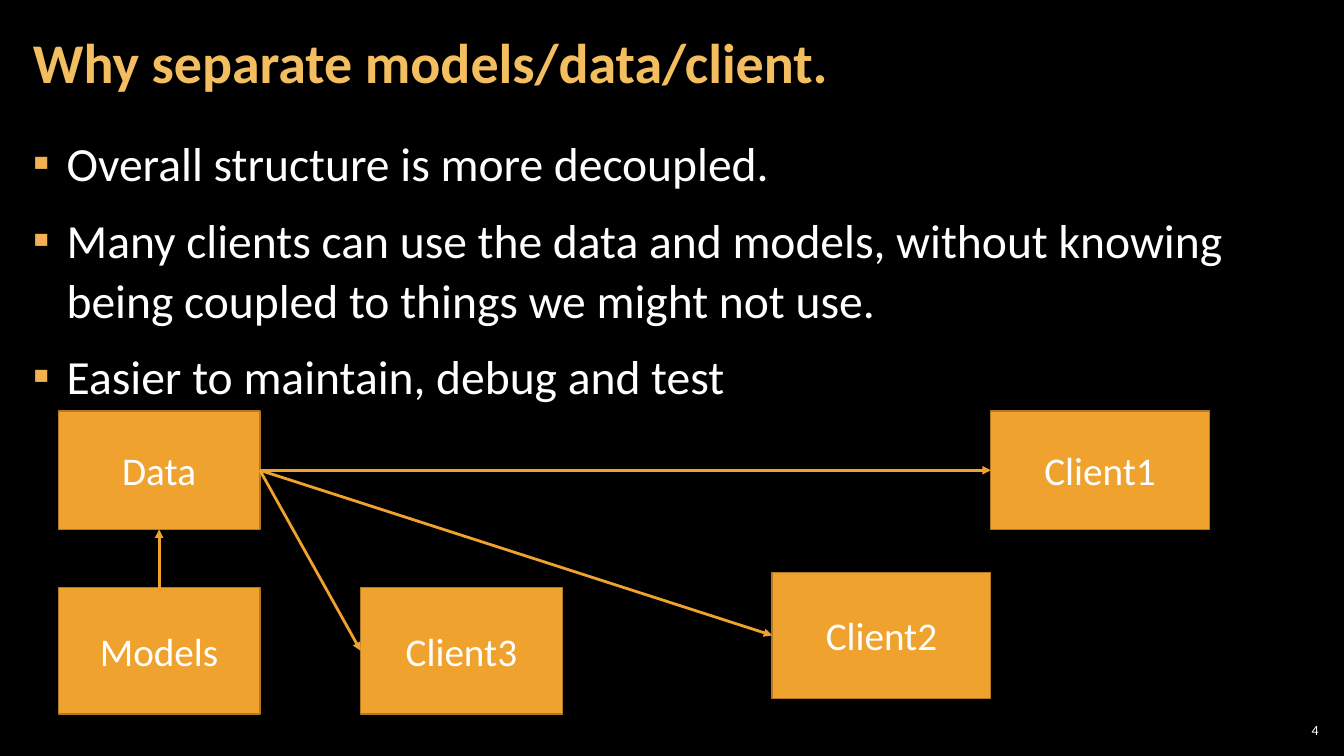
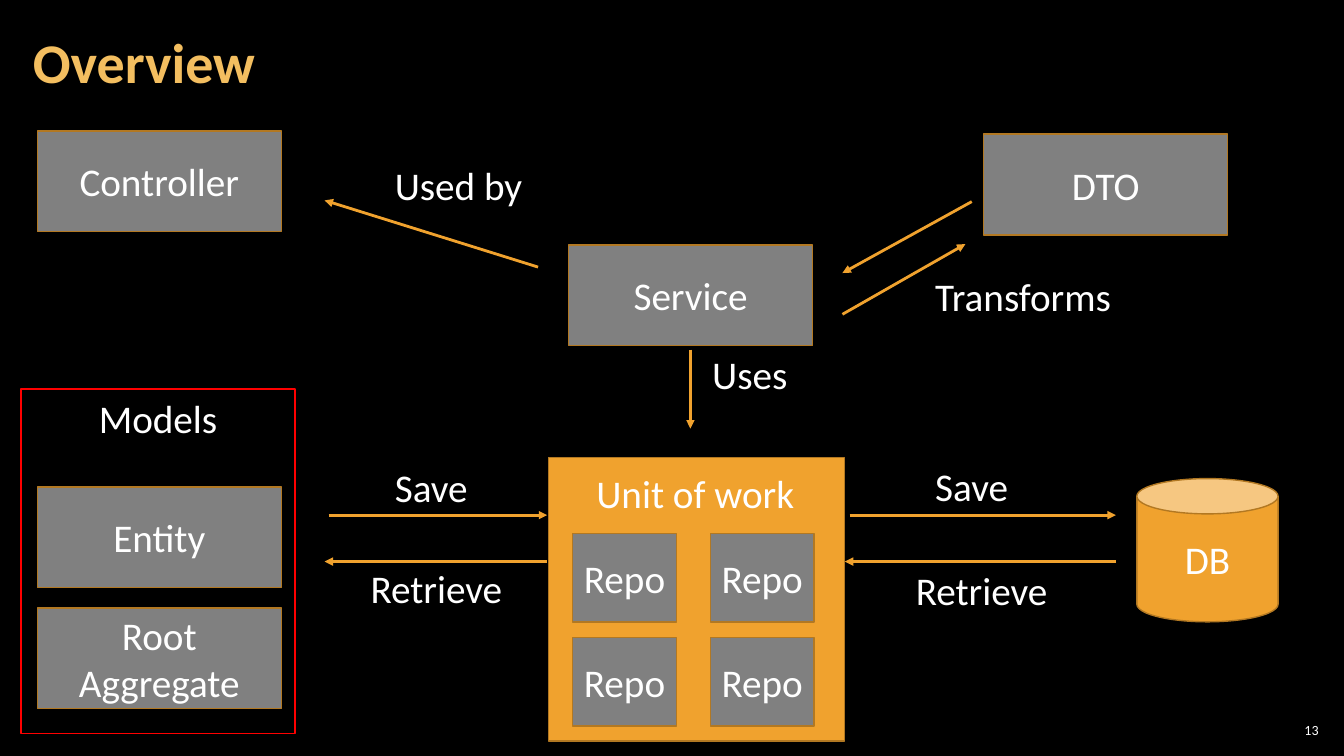
from dataclasses import dataclass

from lxml import etree
from pptx import Presentation
from pptx.dml.color import RGBColor
from pptx.enum import shapes, text
from pptx.oxml import ns
from pptx.util import Cm, Pt


@dataclass(frozen=True)
class Theme:
    font: str = "Calibri"
    background: str = "000000"
    ink: str = "FFFFFF"
    heading: str = "F3BE60"
    bullet: str = "F2B254"
    accent: str = "F0A22E"
    edge: str = "B27822"
    grey: str = "808080"
    frame: str = "FF0000"
    heading_size: int = 40
    list_size: int = 34
    label_size: int = 28
    number_size: int = 10
    edge_width: int = 1
    arrow_width: int = 2


THEME = Theme()
RECT = shapes.MSO_SHAPE.RECTANGLE
CAN = shapes.MSO_SHAPE.CAN
TOP, LEFT, BOTTOM, RIGHT = range(4)
MIDDLE = text.MSO_ANCHOR.MIDDLE

SLIDE_SIZE = (33.87, 19.05)
TITLE_AREA = (0.53, 0.1, 26.6, 3.07)
LIST_AREA = (0.53, 3.2, 32.8, 15.47)
NUMBER_AREA = (32.13, 18.14, 1.2, 0.53)

REASONS = {
    "title": "Why separate models/data/client.",
    "number": "4",
    "points": [
        "Overall structure is more decoupled.",
        "Many clients can use the data and models, without knowing being "
        "coupled to things we might not use.",
        "Easier to maintain, debug and test",
    ],
    "parts": {
        "Data": (1.47, 10.36, 5.08, 2.98),
        "Models": (1.47, 14.81, 5.08, 3.18),
        "Client1": (24.97, 10.36, 5.51, 2.98),
        "Client2": (19.46, 14.42, 5.51, 3.18),
        "Client3": (9.09, 14.81, 5.08, 3.18),
    },
    "links": [
        ("Models", TOP, "Data", BOTTOM),
        ("Data", RIGHT, "Client1", LEFT),
        ("Data", RIGHT, "Client2", LEFT),
        ("Data", RIGHT, "Client3", LEFT),
    ],
}

PART_SIZE = (6.15, 2.54)
REPO_SIZE = (2.62, 2.24)
REPO_START = (14.43, 13.44)
REPO_STEP = (3.47, 2.62)
LABEL_HEIGHT = 1.45
SAVE_Y, RETRIEVE_Y = 12.98, 14.15

OVERVIEW = {
    "title": "Overview",
    "number": "13",
    "unit": (13.82, 11.53, 7.47, 7.14),
    "models": ("Models", (0.53, 9.8, 6.91, 8.69)),
    "database": ("DB", (28.65, 12.06, 3.56, 3.61)),
    "parts": [
        ("Controller", 0.94, 3.3),
        ("Service", 14.33, 6.17),
        ("DTO", 24.79, 3.38),
        ("Entity", 0.94, 12.27),
        ("Root Aggregate", 0.94, 15.32),
    ],
    "repos": ("Repo", 2, 2),
    "arrows": [
        (21.41, SAVE_Y, 28.12, SAVE_Y),
        (8.28, SAVE_Y, 13.79, SAVE_Y),
        (28.12, RETRIEVE_Y, 21.29, RETRIEVE_Y),
        (13.79, RETRIEVE_Y, 8.18, RETRIEVE_Y),
        (21.23, 7.92, 24.33, 6.15),
        (24.49, 5.08, 21.23, 6.88),
        (13.56, 6.73, 8.18, 5.05),
        (17.4, 8.81, 17.4, 10.8),
    ],
    "labels": [
        ("Unit of work", 14.78, 11.71, 5.56),
        ("Save", 9.7, 11.56, 2.36),
        ("Save", 23.32, 11.53, 2.36),
        ("Retrieve", 22.83, 14.15, 3.86),
        ("Retrieve", 9.09, 14.1, 3.86),
        ("Uses", 17.7, 8.71, 2.44),
        ("Transforms", 23.32, 6.73, 5.0),
        ("Used by", 9.7, 3.94, 3.76),
    ],
}


def rgb(value):
    return RGBColor.from_string(value)


def cm(lengths):
    return [Cm(length) for length in lengths]


def move(placeholder, area):
    placeholder.left, placeholder.top, placeholder.width, placeholder.height = cm(area)


def set_insets(frame, side, end):
    frame.margin_left = frame.margin_right = Cm(side)
    frame.margin_top = frame.margin_bottom = Cm(end)


def write(paragraph, words, size, color=THEME.ink, align=text.PP_ALIGN.LEFT, bold=False):
    paragraph.alignment = align
    run = paragraph.add_run()
    run.text = words
    run.font.name = THEME.font
    run.font.size = Pt(size)
    run.font.bold = bold
    run.font.color.rgb = rgb(color)


def start_slide(deck, layout, content):
    slide = deck.slides.add_slide(deck.slide_layouts[layout])
    title = slide.shapes.title
    move(title, TITLE_AREA)
    frame = title.text_frame
    frame.word_wrap = True
    frame.auto_size = text.MSO_AUTO_SIZE.NONE
    frame.vertical_anchor = MIDDLE
    set_insets(frame, 0.3, 0.1)
    frame.paragraphs[0].line_spacing = 0.9
    write(frame.paragraphs[0], content["title"], THEME.heading_size, THEME.heading, bold=True)

    number = slide.shapes.add_textbox(*cm(NUMBER_AREA)).text_frame
    number.word_wrap = True
    number.vertical_anchor = MIDDLE
    set_insets(number, 0.1, 0.1)
    write(number.paragraphs[0], content["number"], THEME.number_size, align=text.PP_ALIGN.RIGHT)
    return slide


def add_bullet(paragraph):
    props = paragraph._p.get_or_add_pPr()
    props.set("marL", str(Cm(0.85)))
    props.set("indent", str(-Cm(0.85)))
    color = etree.SubElement(props, ns.qn("a:buClr"))
    etree.SubElement(color, ns.qn("a:srgbClr"), val=THEME.bullet)
    etree.SubElement(props, ns.qn("a:buFont"), typeface=THEME.font)
    etree.SubElement(props, ns.qn("a:buChar"), char="▪")


def fill_list(body, points):
    move(body, LIST_AREA)
    frame = body.text_frame
    frame.word_wrap = True
    frame.auto_size = text.MSO_AUTO_SIZE.NONE
    set_insets(frame, 0.3, 0.1)
    for index, point in enumerate(points):
        paragraph = frame.add_paragraph() if index else frame.paragraphs[0]
        add_bullet(paragraph)
        paragraph.line_spacing = 1.05
        paragraph.space_before = Pt(6 if index else 0)
        paragraph.space_after = Pt(6)
        write(paragraph, point, THEME.list_size)


def add_part(slide, area, words="", fill=THEME.accent, edge=THEME.edge, kind=RECT, anchor=MIDDLE):
    part = slide.shapes.add_shape(kind, *cm(area))
    part.shadow.inherit = False
    if fill:
        part.fill.solid()
        part.fill.fore_color.rgb = rgb(fill)
    else:
        part.fill.background()
    part.line.color.rgb = rgb(edge)
    part.line.width = Pt(THEME.edge_width)
    if words:
        part.text_frame.word_wrap = True
        part.text_frame.vertical_anchor = anchor
        write(part.text_frame.paragraphs[0], words, THEME.label_size, align=text.PP_ALIGN.CENTER)
    return part


def add_arrow(slide, ends=(0, 0, 0, 0)):
    arrow = slide.shapes.add_connector(shapes.MSO_CONNECTOR.STRAIGHT, *cm(ends))
    arrow.line.color.rgb = rgb(THEME.accent)
    arrow.line.width = Pt(THEME.arrow_width)
    etree.SubElement(arrow.line._get_or_add_ln(), ns.qn("a:tailEnd"), type="triangle")
    etree.SubElement(arrow._element.spPr, ns.qn("a:effectLst"))
    return arrow


def add_label(slide, words, left, top, width):
    frame = slide.shapes.add_textbox(*cm((left, top, width, LABEL_HEIGHT))).text_frame
    frame.word_wrap = False
    frame.auto_size = text.MSO_AUTO_SIZE.SHAPE_TO_FIT_TEXT
    write(frame.paragraphs[0], words, THEME.label_size)


def build_reasons(deck):
    slide = start_slide(deck, 1, REASONS)
    fill_list(slide.placeholders[1], REASONS["points"])
    parts = {name: add_part(slide, area, name) for name, area in REASONS["parts"].items()}
    for source, source_side, target, target_side in REASONS["links"]:
        arrow = add_arrow(slide)
        arrow.begin_connect(parts[source], source_side)
        arrow.end_connect(parts[target], target_side)


def build_overview(deck):
    slide = start_slide(deck, 5, OVERVIEW)
    add_part(slide, OVERVIEW["unit"])
    name, area = OVERVIEW["models"]
    add_part(slide, area, name, None, THEME.frame, anchor=text.MSO_ANCHOR.TOP)
    name, area = OVERVIEW["database"]
    add_part(slide, area, name, kind=CAN)
    for name, left, top in OVERVIEW["parts"]:
        add_part(slide, (left, top, *PART_SIZE), name, THEME.grey)
    name, rows, columns = OVERVIEW["repos"]
    for row in range(rows):
        for column in range(columns):
            left = REPO_START[0] + column * REPO_STEP[0]
            top = REPO_START[1] + row * REPO_STEP[1]
            add_part(slide, (left, top, *REPO_SIZE), name, THEME.grey)
    for ends in OVERVIEW["arrows"]:
        add_arrow(slide, ends)
    for label in OVERVIEW["labels"]:
        add_label(slide, *label)


def main():
    deck = Presentation()
    deck.slide_width, deck.slide_height = cm(SLIDE_SIZE)
    backdrop = deck.slide_master.background.fill
    backdrop.solid()
    backdrop.fore_color.rgb = rgb(THEME.background)
    build_reasons(deck)
    build_overview(deck)
    deck.save("out.pptx")


if __name__ == "__main__":
    main()
